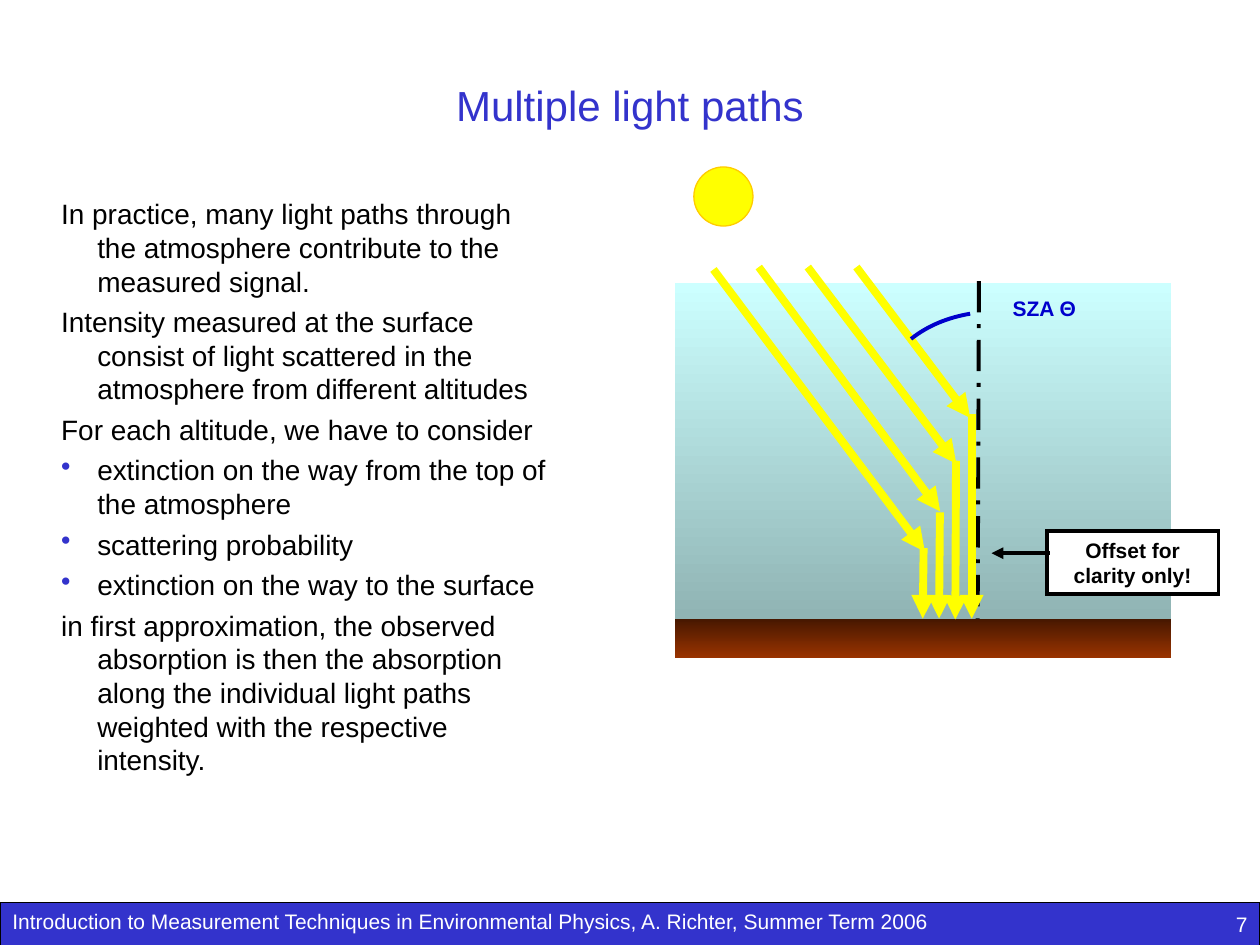
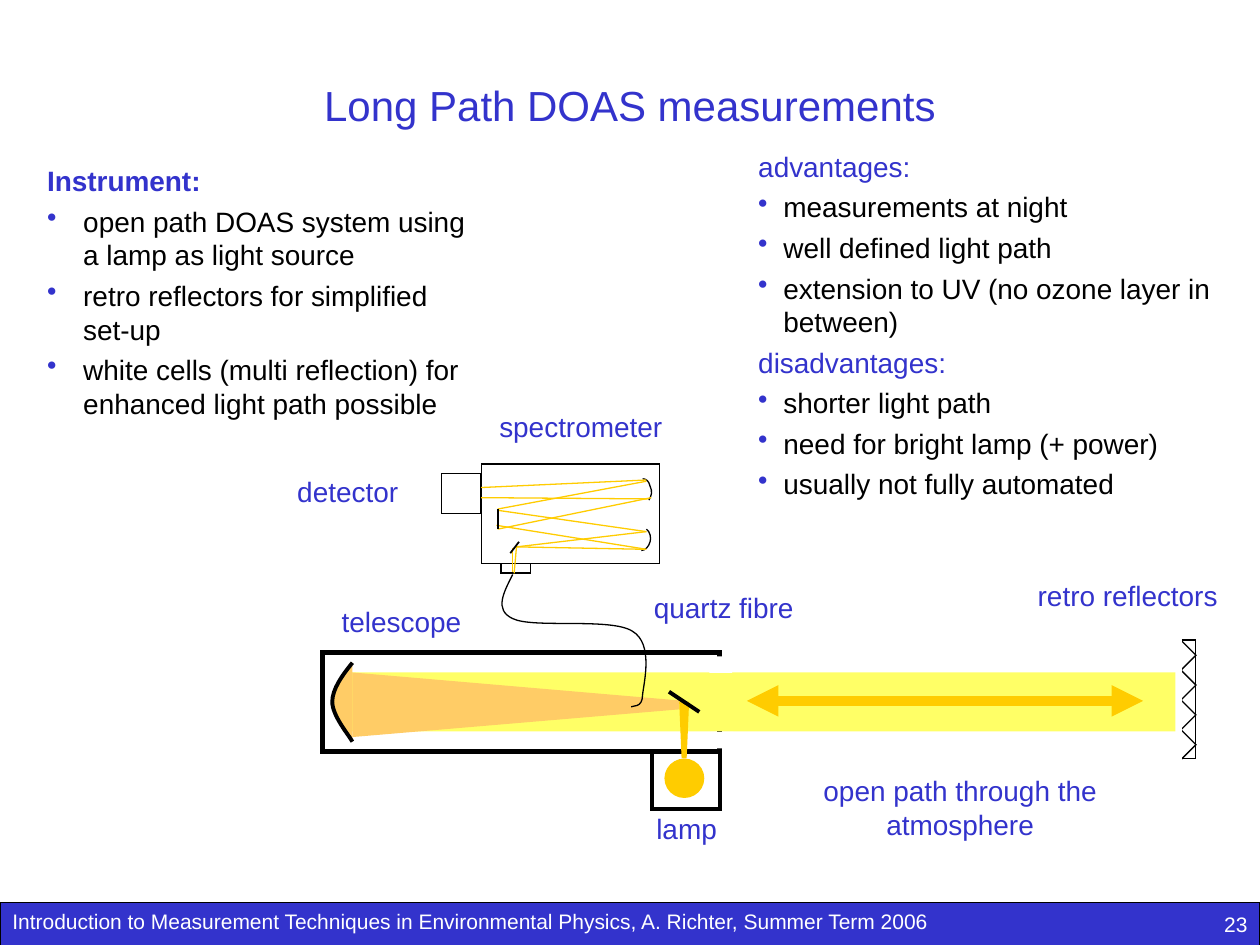
from dataclasses import dataclass
from typing import NamedTuple, Optional, Sequence

from lxml import etree
from pptx import Presentation
from pptx.dml.color import RGBColor
from pptx.enum.dml import MSO_LINE
from pptx.enum.shapes import MSO_CONNECTOR, MSO_SHAPE
from pptx.enum.text import MSO_ANCHOR, PP_ALIGN
from pptx.oxml.ns import qn
from pptx.util import Pt

RECT = MSO_SHAPE.RECTANGLE
OVAL = MSO_SHAPE.OVAL
RIGHT_TRIANGLE = MSO_SHAPE.RIGHT_TRIANGLE
STRAIGHT = MSO_CONNECTOR.STRAIGHT
DASH_DOT = MSO_LINE.LONG_DASH_DOT
LEFT, CENTER, RIGHT = PP_ALIGN.LEFT, PP_ALIGN.CENTER, PP_ALIGN.RIGHT
TOP = MSO_ANCHOR.TOP

FONT = "Arial"
LINE_HEIGHT = 1.2
SLIDE_W, SLIDE_H = 720, 540
COURSE = ("Introduction to Measurement Techniques in Environmental Physics, "
          "A. Richter, Summer Term 2006")
COLORS = {
    "black": "000000", "white": "FFFFFF", "accent": "3333CC", "angle": "0000CC",
    "sunlight": "FFFF00", "lamplight": "FFCC00", "beam": "FFFF66", "cone": "FFCC66",
    "sky_top": "CCFFFF", "sky_bottom": "90B4B4",
    "soil_top": "461700", "soil_bottom": "993300",
}

Point = tuple[float, float]


class Box(NamedTuple):
    left: float
    top: float
    width: float
    height: float


class Stroke(NamedTuple):
    color: str
    width: float


class Segment(NamedTuple):
    start: Point
    end: Point


@dataclass(frozen=True)
class Item:
    text: str
    bullet: bool = False
    color: str = "black"
    bold: bool = False


@dataclass(frozen=True)
class Label:
    text: str
    box: Box


THIN = Stroke("black", 0.75)
MIRROR = Stroke("black", 1)
HEAVY = Stroke("black", 2.25)
SPECTRAL_RAY = Stroke("lamplight", 0.75)
SUN_RAY = Stroke("sunlight", 4.5)


def rgb(name: str) -> RGBColor:
    return RGBColor.from_string(COLORS[name])


def paint(shape, fill: Optional[str], stroke: Optional[Stroke]) -> None:
    shape.shadow.inherit = False
    if fill:
        shape.fill.solid()
        shape.fill.fore_color.rgb = rgb(fill)
    else:
        shape.fill.background()
    if stroke:
        shape.line.color.rgb = rgb(stroke.color)
        shape.line.width = Pt(stroke.width)
        etree.SubElement(shape.element.spPr.find(qn("a:ln")), qn("a:miter"), lim="800000")
    else:
        shape.line.fill.background()


def add_figure(slide, kind, box: Box, fill: Optional[str] = None,
               stroke: Optional[Stroke] = None, rotation: float = 0):
    shape = slide.shapes.add_shape(kind, *map(Pt, box))
    shape.rotation = rotation
    paint(shape, fill, stroke)
    return shape


def add_gradient(slide, box: Box, top: str, bottom: str) -> None:
    shape = add_figure(slide, RECT, box)
    shape.fill.gradient()
    shape.fill.gradient_angle = 270
    for stop, color, position in zip(shape.fill.gradient_stops, (top, bottom), (0, 1)):
        stop.color.rgb = rgb(color)
        stop.position = position


def add_line(slide, segment: Segment, stroke: Stroke, arrows: Sequence[str] = (), dash=None) -> None:
    """Arrows names the ends to point: headEnd is the start, tailEnd the end."""
    connector = slide.shapes.add_connector(STRAIGHT, *map(Pt, segment.start + segment.end))
    connector.line.color.rgb = rgb(stroke.color)
    connector.line.width = Pt(stroke.width)
    if dash:
        connector.line.dash_style = dash
    properties = connector.element.spPr
    outline = properties.find(qn("a:ln"))
    for end in arrows:
        etree.SubElement(outline, qn(f"a:{end}"), type="triangle")
    etree.SubElement(properties, qn("a:effectLst"))


def add_outline(slide, points: Sequence[Point], fill: Optional[str] = None,
                stroke: Optional[Stroke] = None, close: bool = False):
    first, *rest = [(Pt(x), Pt(y)) for x, y in points]
    builder = slide.shapes.build_freeform(*first)
    builder.add_line_segments(rest, close=close)
    shape = builder.convert_to_shape()
    paint(shape, fill, stroke)
    return shape


def add_curve(slide, controls: Sequence[Point], stroke: Stroke, fill: Optional[str] = None) -> None:
    """Joined cubic Bezier arcs: a start point, then three control points for each arc."""
    shape = add_outline(slide, controls, fill, stroke)
    steps = list(shape.element.iter(qn("a:lnTo")))
    for i in range(0, len(steps), 3):
        arc = etree.Element(qn("a:cubicBezTo"))
        steps[i].addprevious(arc)
        for step in steps[i:i + 3]:
            arc.append(step[0])
            step.getparent().remove(step)


def write(shape, items: Sequence[Item], size: float, align=LEFT, indent: float = 0) -> None:
    frame = shape.text_frame
    frame.word_wrap = True
    frame.vertical_anchor = TOP
    for i, item in enumerate(items):
        paragraph = frame.add_paragraph() if i else frame.paragraphs[0]
        paragraph.text = item.text
        paragraph.alignment = align
        paragraph.line_spacing = Pt(size * LINE_HEIGHT)
        paragraph.space_before = Pt(4 if i else 0)
        properties = paragraph._p.get_or_add_pPr()
        if indent:
            properties.set("marL", str(Pt(indent)))
            properties.set("indent", str(-Pt(indent)))
        if item.bullet:
            bullet_color = etree.SubElement(properties, qn("a:buClr"))
            etree.SubElement(bullet_color, qn("a:srgbClr"), val=COLORS["accent"])
            etree.SubElement(properties, qn("a:buChar"), char="•")
        font = paragraph.font
        font.name, font.size, font.bold = FONT, Pt(size), item.bold
        font.color.rgb = rgb(item.color)


def add_text(slide, box: Box, items: Sequence[Item], size: float = 16,
             align=LEFT, indent: float = 0) -> None:
    write(slide.shapes.add_textbox(*map(Pt, box)), items, size, align, indent)


def start_slide(deck, title: str, number: int):
    slide = deck.slides.add_slide(deck.slide_layouts[6])
    band = add_figure(slide, RECT, Box(0, 515.8, SLIDE_W, 28.8), "accent", THIN)
    write(band, [Item(COURSE, color="white")], 12)
    add_text(slide, Box(570, 517.3, 150, 22.3), [Item(str(number), color="white")], 12, RIGHT)
    add_text(slide, Box(0, 41.8, SLIDE_W, 36), [Item(title, color="accent")], 24, CENTER)
    return slide


def build_light_paths(deck) -> None:
    slide = start_slide(deck, "Multiple light paths", 7)
    ground = 353.5
    add_gradient(slide, Box(385.7, 162, 283.5, ground - 162), "sky_top", "sky_bottom")
    add_gradient(slide, Box(385.7, ground, 283.5, 22.3), "soil_top", "soil_bottom")
    add_line(slide, Segment((559.4, 160.6), (558.7, ground)), HEAVY, dash=DASH_DOT)
    add_text(slide, Box(568.3, 165.6, 57, 21.6), [Item("SZA Θ", color="angle", bold=True)], 12, CENTER)
    add_figure(slide, OVAL, Box(396.5, 95.4, 33.8, 33.8), "sunlight", SPECTRAL_RAY)

    incoming = [
        Segment((407.7, 154), (528.5, 315.2)),
        Segment((433.6, 152.6), (537.3, 292.3)),
        Segment((461.6, 152.6), (546.5, 265)),
        Segment((489.4, 152.6), (554.4, 238.8)),
    ]
    scattered = [
        Segment((527.8, 313.2), (527.3, ground)),
        Segment((537.1, 292.8), (536.6, ground)),
        Segment((546.3, 263.3), (545.9, 354)),
        Segment((555.3, 236.7), (555.3, ground)),
    ]
    for ray in incoming + scattered:
        add_line(slide, ray, SUN_RAY, ["tailEnd"])
    angle = [(520.6, 193.7), (530.6, 185.8), (542.2, 181.4), (554.4, 179.3)]
    add_curve(slide, angle, Stroke("angle", 2.25))

    remark = add_figure(slide, RECT, Box(598.3, 303.5, 97.9, 36), "white", Stroke("black", 2))
    write(remark, [Item("Offset for clarity only!", bold=True)], 12, CENTER)
    add_line(slide, Segment((599.8, 316.1), (566.6, 316.1)), HEAVY, ["tailEnd"])

    add_text(slide, Box(27.9, 109, 291.6, 361.4), [
        Item("In practice, many light paths through the atmosphere contribute to the measured signal."),
        Item("Intensity measured at the surface consist of light scattered in the atmosphere "
             "from different altitudes"),
        Item("For each altitude, we have to consider"),
        Item("extinction on the way from the top of the atmosphere", bullet=True),
        Item("scattering probability", bullet=True),
        Item("extinction on the way to the surface", bullet=True),
        Item("in first approximation, the observed absorption is then the absorption along "
             "the individual light paths weighted with the respective intensity."),
    ], indent=20.6)


def draw_telescope(slide) -> None:
    add_figure(slide, RECT, Box(184.3, 372.8, 226.8, 56.7), stroke=Stroke("black", 3))
    add_figure(slide, RECT, Box(195.8, 384.2, 475.9, 33.8), "beam")
    main_mirror = [(201.4, 378.7), (195.6, 385.9), (189.9, 393.8), (189.9, 401),
                   (189.9, 409), (199.2, 419.8), (201.4, 423.8)]
    add_curve(slide, main_mirror, HEAVY, "cone")
    add_outline(slide, [(201.4, 421.2), (201.4, 384.3), (388.1, 400.3), (388.1, 405.4)],
                "cone", close=True)
    add_line(slide, Segment((426.8, 400.5), (653.2, 400.5)), Stroke("lamplight", 6),
             ["headEnd", "tailEnd"])
    add_figure(slide, RECT, Box(372.7, 429.8, 38.7, 32.4), stroke=HEAVY)
    add_figure(slide, OVAL, Box(379.7, 433.5, 22.8, 22.5), "lamplight")
    add_outline(slide, [(388.1, 401), (393.8, 401), (392.4, 433.4), (389.5, 433.4)],
                "lamplight", close=True)
    add_line(slide, Segment((382.3, 395.3), (399.6, 406.8)), HEAVY)
    for opening in (Box(405.4, 375.1, 13, 9.4), Box(406.1, 418.3, 13, 9.4)):
        add_figure(slide, RECT, opening, "white")


def draw_retro_reflectors(slide) -> None:
    for i in range(4):
        add_figure(slide, RIGHT_TRIANGLE, Box(666, 367.2 + 17.04 * i, 14.4, 14.4),
                   stroke=THIN, rotation=225)
    add_line(slide, Segment((673.9, 355.7), (673.9, 457.9)), Stroke("white", 3))
    top, bottom, back = 365.8, 433.5, 683.3
    add_line(slide, Segment((back, top), (back, bottom + 0.5)), THIN)
    for edge in (top, bottom):
        add_line(slide, Segment((675.4, edge), (back, edge)), THIN)


def draw_spectrometer(slide) -> None:
    housing, detector, entrance = (
        Box(275, 265.2, 102, 56.7), Box(252.2, 270.6, 22.8, 22.8), Box(286.3, 321.9, 17, 5.6))
    for part in (housing, detector, entrance):
        add_figure(slide, RECT, part, stroke=THIN)
    upper_mirror = [(367.2, 273.6), (369.4, 273.6), (370.8, 275), (371.5, 277.9),
                    (373, 280.8), (372.2, 283.7), (370.8, 285.8)]
    lower_mirror = [(369.4, 302.4), (371.5, 303.8), (372.2, 307.4), (371.5, 309.6),
                    (370.8, 312.5), (368.6, 314.6), (366.5, 314.6)]
    fibre = [(293, 328.3), (288, 338.4), (282.2, 348.5), (293, 353.5), (304.6, 359.3),
             (349.2, 352.8), (361.4, 360.7), (373.7, 367.9), (367.9, 390.2), (367.2, 397.4),
             (367.2, 404.6), (361.4, 403.2), (360.7, 403.9)]
    for controls in (upper_mirror, lower_mirror, fibre):
        add_curve(slide, controls, THIN)

    for ray in (
        Segment((295.2, 312.5), (369.4, 303.8)), Segment((294.5, 312.5), (368.6, 313.9)),
        Segment((283.7, 300.2), (369.4, 313.9)), Segment((284.4, 291.6), (369.4, 303.8)),
        Segment((284.4, 302.4), (372.2, 284.4)), Segment((284.4, 290.9), (369.4, 275)),
        Segment((275, 278.6), (369.4, 274.3)), Segment((275, 284.4), (370.1, 285.1)),
        Segment((293, 313.2), (293, 326.9)), Segment((295.2, 311.8), (293.8, 327.6)),
    ):
        add_line(slide, ray, SPECTRAL_RAY)
    fold_mirror = Segment((296.6, 309.6), (291.6, 316.1))
    grating = Segment((284.4, 290.9), (284.4, 302.4))
    for optic in (fold_mirror, grating):
        add_line(slide, optic, MIRROR)
    add_line(slide, Segment(grating.end, grating.end), THIN)


def build_long_path(deck) -> None:
    slide = start_slide(deck, "Long Path DOAS measurements", 23)
    draw_telescope(slide)
    draw_retro_reflectors(slide)
    draw_spectrometer(slide)
    for label in (
        Label("open path through the atmosphere", Box(445.7, 438.5, 205.9, 46)),
        Label("lamp", Box(289.4, 460.1, 205.9, 26.6)),
        Label("telescope", Box(179, 342, 100.8, 26.6)),
        Label("retro reflectors", Box(583.9, 326.9, 121, 26.6)),
        Label("spectrometer", Box(274.3, 230.7, 115.2, 26.6)),
        Label("detector", Box(158.7, 267.8, 79.9, 26.6)),
        Label("quartz fibre", Box(365.3, 334.1, 96.6, 26.6)),
    ):
        add_text(slide, label.box, [Item(label.text, color="accent")], align=CENTER)

    add_text(slide, Box(19.9, 90, 259.2, 154), [
        Item("Instrument:", color="accent", bold=True),
        Item("open path DOAS system using a lamp as light source", bullet=True),
        Item("retro reflectors for simplified set-up", bullet=True),
        Item("white cells (multi reflection) for enhanced light path possible", bullet=True),
    ], indent=20.6)
    add_text(slide, Box(426.2, 81.8, 293.8, 227.5), [
        Item("advantages:", color="accent"),
        Item("measurements at night", bullet=True),
        Item("well defined light path", bullet=True),
        Item("extension to UV (no ozone layer in between)", bullet=True),
        Item("disadvantages:", color="accent"),
        Item("shorter light path", bullet=True),
        Item("need for bright lamp (+ power)", bullet=True),
        Item("usually not fully automated", bullet=True),
    ], indent=14.4)


def main() -> None:
    deck = Presentation()
    deck.slide_width, deck.slide_height = Pt(SLIDE_W), Pt(SLIDE_H)
    build_light_paths(deck)
    build_long_path(deck)
    deck.save("out.pptx")


if __name__ == "__main__":
    main()
